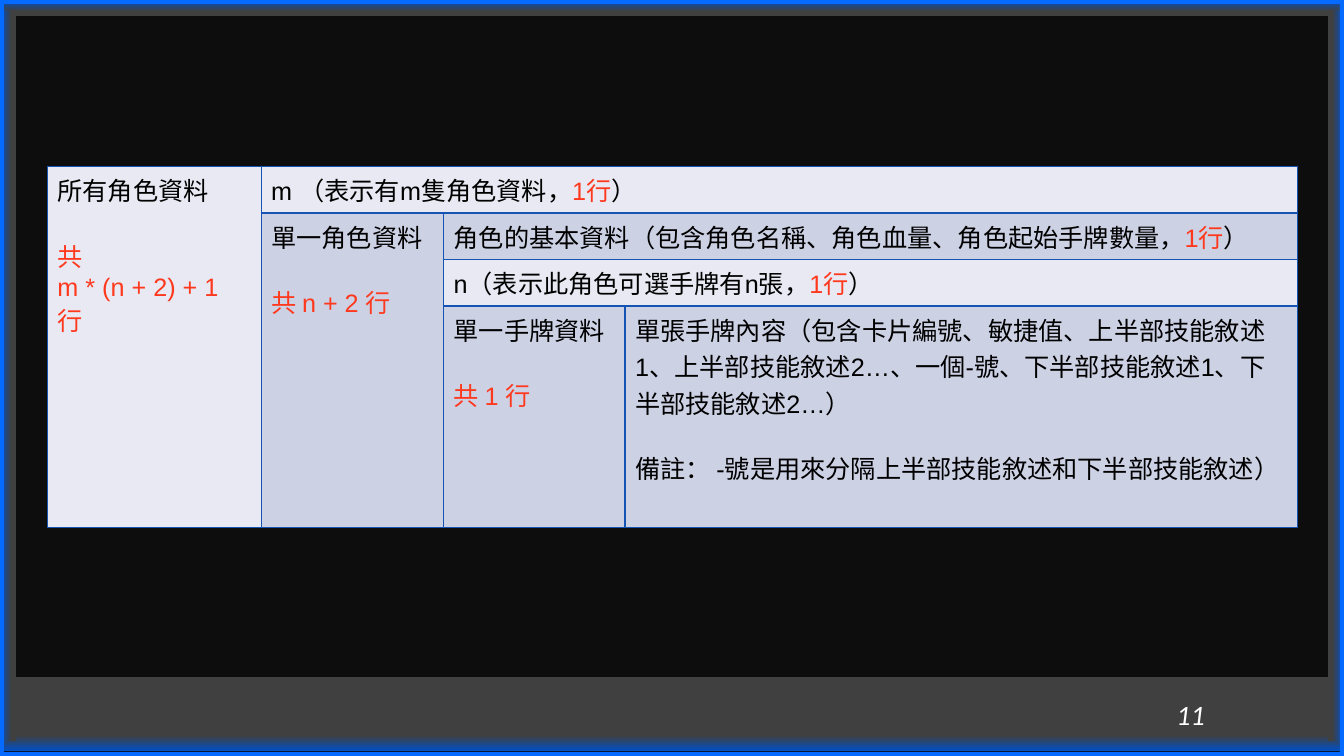
from lxml import etree
from pptx import Presentation
from pptx.dml.color import RGBColor
from pptx.enum.shapes import MSO_SHAPE
from pptx.enum.text import MSO_ANCHOR, PP_ALIGN
from pptx.oxml.ns import qn
from pptx.util import Inches, Pt

RECTANGLE, FRAME = MSO_SHAPE.RECTANGLE, MSO_SHAPE.FRAME
MIDDLE, RIGHT = MSO_ANCHOR.MIDDLE, PP_ALIGN.RIGHT
WIDTH, HEIGHT, EDGE = 13.33, 7.5, 0.16

BLACK, RED, WHITE = "000000", "FF391E", "FFFFFF"
LIGHT, MID = "E8E9F2", "CCD1E4"
GLOW, GREY, FRAME_BLUE, BORDER = "004FC3", "404040", "056AFF", "1554B2"


def color(hex_value):
    return RGBColor.from_string(hex_value)


class SlideBuilder:
    body_font, body_size = "Arial", Pt(18)
    section_gap = Pt(20.7)

    def __init__(self, slide):
        self.slide = slide

    def background(self, fill):
        self.slide.background.fill.solid()
        self.slide.background.fill.fore_color.rgb = color(fill)

    def shape(self, kind, left, top, width, height):
        shape = self.slide.shapes.add_shape(
            kind, Inches(left), Inches(top), Inches(width), Inches(height))
        shape.shadow.inherit = False
        shape.line.fill.background()
        return shape

    def glow_bar(self, box, angle, grey_at):
        """Add a bar fading from blue to grey, angle counted counter-clockwise."""
        bar = self.shape(RECTANGLE, *box)
        bar.fill.gradient()
        bar.fill.gradient_angle = angle
        stops = bar.fill.gradient_stops
        for stop, position, hue in zip(stops, (0, grey_at), (GLOW, GREY)):
            stop.position = position
            stop.color.rgb = color(hue)
        return bar

    def page_number(self, bar, number):
        frame = bar.text_frame
        frame.vertical_anchor = MIDDLE
        frame.margin_right = Inches(1.38)
        paragraph = frame.paragraphs[0]
        paragraph.text = number
        paragraph.alignment = RIGHT
        font = paragraph.font
        font.name, font.size, font.italic = "Calibri", Pt(20), True
        font.color.rgb = color(WHITE)

    def frame(self, thickness, fill):
        outline = self.shape(FRAME, 0, 0, WIDTH, HEIGHT)
        outline.adjustments[0] = thickness / HEIGHT
        outline.fill.solid()
        outline.fill.fore_color.rgb = color(fill)

    def table(self, left, top, widths, heights):
        table = self.slide.shapes.add_table(
            len(heights), len(widths), Inches(left), Inches(top),
            Inches(sum(widths)), Inches(sum(heights))).table
        table.first_row = table.horz_banding = False
        for column, width in zip(table.columns, widths):
            column.width = Inches(width)
        for row, height in zip(table.rows, heights):
            row.height = Inches(height)
        for cell in table.iter_cells():
            self.cell_border(cell)
        return table

    def cell_border(self, cell):
        properties = cell._tc.get_or_add_tcPr()
        for index, side in enumerate(("a:lnL", "a:lnR", "a:lnT", "a:lnB")):
            line = etree.Element(qn(side), w=str(Pt(1)))
            solid = etree.SubElement(line, qn("a:solidFill"))
            etree.SubElement(solid, qn("a:srgbClr"), val=BORDER)
            properties.insert(index, line)

    def cell(self, table, start, end, fill, sections):
        """Merge start to end and write sections, each a list of paragraphs of (text, colour) runs."""
        cell = table.cell(*start)
        if start != end:
            cell.merge(table.cell(*end))
        cell.fill.solid()
        cell.fill.fore_color.rgb = color(fill)
        frame = cell.text_frame
        paragraph = None
        for section in sections:
            for position, runs in enumerate(section):
                is_first = paragraph is None
                paragraph = frame.paragraphs[0] if is_first else frame.add_paragraph()
                if position == 0 and not is_first:
                    paragraph.space_before = self.section_gap
                paragraph.font.name = self.body_font
                paragraph.font.size = self.body_size
                for text, hue in runs:
                    run = paragraph.add_run()
                    run.text = text
                    run.font.color.rgb = color(hue)


def one_line(description):
    """Sections for a field that takes a single line of the file."""
    return [[[(description, BLACK), ("1行", RED), ("）", BLACK)]]]


def titled(title, *count_lines):
    """Sections for a block title with its line count in red."""
    return [[[(title, BLACK)]], [[(line, RED)] for line in count_lines]]


def main():
    presentation = Presentation()
    presentation.slide_width = Inches(WIDTH)
    presentation.slide_height = Inches(HEIGHT)
    builder = SlideBuilder(
        presentation.slides.add_slide(presentation.slide_layouts[6]))
    builder.background("0D0D0D")

    footer = builder.glow_bar((0, 6.72, WIDTH, 0.73), 90, 0.21)
    builder.page_number(footer, "11")
    for box, angle in (
        ((0, 0, WIDTH, EDGE), 270),
        ((0, 0.1, EDGE, 7.25), 0),
        ((WIDTH - EDGE, 0.1, EDGE, 7.25), 180),
    ):
        builder.glow_bar(box, angle, 0.72)
    builder.frame(0.04, FRAME_BLUE)

    file_format = builder.table(
        0.47, 1.65, (2.12, 1.81, 1.8, 6.67), (0.46, 0.46, 0.46, 2.19))
    card_content = (
        "單張手牌內容（包含卡片編號、敏捷值、上半部技能敘述1、上半部技能敘述2…、"
        "一個-號、下半部技能敘述1、下半部技能敘述2…）")
    separator_note = "備註： -號是用來分隔上半部技能敘述和下半部技能敘述）"
    for start, end, fill, sections in (
        ((0, 0), (3, 0), LIGHT,
         titled("所有角色資料", "共", "m * (n + 2) + 1", "行")),
        ((0, 1), (0, 3), LIGHT, one_line("m （表示有m隻角色資料，")),
        ((1, 1), (3, 1), MID, titled("單一角色資料", "共 n + 2 行")),
        ((1, 2), (1, 3), MID,
         one_line("角色的基本資料（包含角色名稱、角色血量、角色起始手牌數量，")),
        ((2, 2), (2, 3), LIGHT, one_line("n（表示此角色可選手牌有n張，")),
        ((3, 2), (3, 2), MID, titled("單一手牌資料", "共 1 行")),
        ((3, 3), (3, 3), MID,
         [[[(card_content, BLACK)]], [[(separator_note, BLACK)]]]),
    ):
        builder.cell(file_format, start, end, fill, sections)

    presentation.save("out.pptx")


if __name__ == "__main__":
    main()
